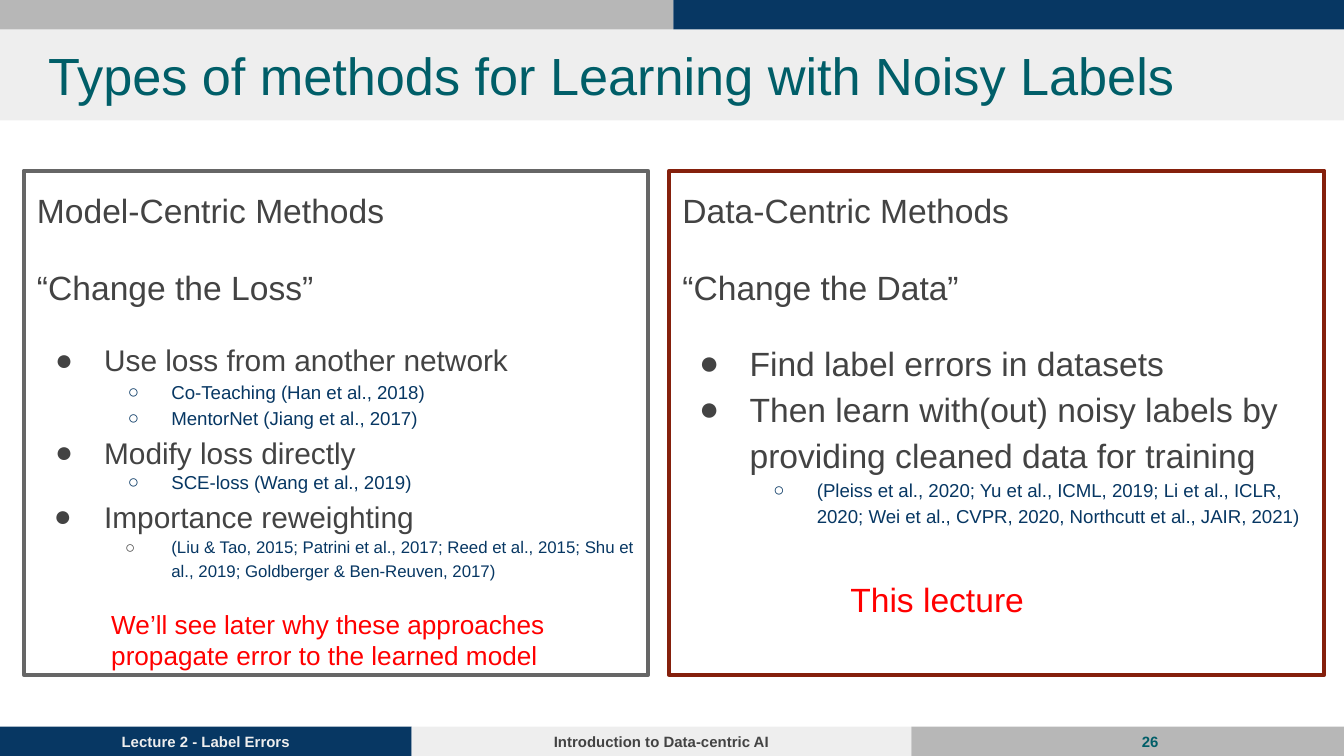
from lxml import etree
from pptx import Presentation, util as u
from pptx.dml import color
from pptx.enum import shapes, text
from pptx.oxml import ns

PX = 9525  # EMU in one px, 96 px to the inch
INSET = u.Inches(0.1)
COLORS = {
    "navy": "073763", "teal": "005E68", "pale": "EEEEEE", "silver": "B7B7B7",
    "ink": "434343", "gray": "666666", "maroon": "85200C", "red": "FF0000",
}
HEAD = {"size": 18, "color": "ink"}
HEAD_NEXT = {**HEAD, "before": 16}
TOPIC = {"size": 16, "color": "ink", "bullet": "●", "left": 48, "hang": 35}
WIDE_TOPIC = {**TOPIC, "hang": 36}
BIG_TOPIC = {**WIDE_TOPIC, "size": 18}
CITE = {"size": 10, "color": "navy", "bullet": "○", "left": 96, "hang": 31, "level": 1}
SMALL_CITE = {**CITE, "size": 9, "hang": 33, "bullet_color": "ink"}

MODEL_CENTRIC = [
    ("Model-Centric Methods", HEAD),
    ("“Change the Loss”", HEAD_NEXT),
    ("Use loss from another network", {**TOPIC, "before": 16}),
    ("Co-Teaching (Han et al., 2018)", CITE),
    ("MentorNet (Jiang et al., 2017)", CITE),
    ("Modify loss directly", TOPIC),
    ("SCE-loss (Wang et al., 2019)", {**CITE, "spacing": 1.0}),
    ("Importance reweighting", WIDE_TOPIC),
    ("(Liu & Tao, 2015; Patrini et al., 2017; Reed et al., 2015; Shu et al., 2019; "
     "Goldberger & Ben-Reuven, 2017)", SMALL_CITE),
]
DATA_CENTRIC = [
    ("Data-Centric Methods", HEAD),
    ("“Change the Data”", HEAD_NEXT),
    ("Find label errors in datasets", {**BIG_TOPIC, "before": 16}),
    ("Then learn with(out) noisy labels by providing cleaned data for training", BIG_TOPIC),
    ("(Pleiss et al., 2020; Yu et al., ICML, 2019; Li et al., ICLR, 2020; "
     "Wei et al., CVPR, 2020, Northcutt et al., JAIR, 2021)", CITE),
]


def rgb(name):
    return color.RGBColor.from_string(COLORS[name])


def add_bullet(para, look):
    """Give the paragraph a coloured bullet with a hanging indent."""
    props = para._p.get_or_add_pPr()
    props.set("marL", str(look["left"] * PX))
    props.set("indent", str(-look["hang"] * PX))
    tint = etree.SubElement(props, ns.qn("a:buClr"))
    shade = look.get("bullet_color", look["color"])
    etree.SubElement(tint, ns.qn("a:srgbClr"), val=COLORS[shade])
    etree.SubElement(props, ns.qn("a:buFont"), typeface="Arial")
    etree.SubElement(props, ns.qn("a:buChar"), char=look["bullet"])


def write(shape, lines, anchor="TOP", align="LEFT", spacing=1.0):
    """Fill a shape with (wording, look) paragraphs."""
    frame = shape.text_frame
    frame_format = {"word_wrap": True, "vertical_anchor": text.MSO_ANCHOR[anchor]}
    for side in ("left", "top", "right", "bottom"):
        frame_format[f"margin_{side}"] = INSET
    for key, value in frame_format.items():
        setattr(frame, key, value)
    for index, (wording, look) in enumerate(lines):
        para = frame.add_paragraph() if index else frame.paragraphs[0]
        if "bullet" in look:
            add_bullet(para, look)
        para_format = {
            "alignment": text.PP_ALIGN[align],
            "line_spacing": look.get("spacing", spacing),
            "space_before": u.Pt(look.get("before", 0)),
            "level": look.get("level", 0),
        }
        for key, value in para_format.items():
            setattr(para, key, value)
        span = para.add_run()
        span.text = wording
        span_format = {"name": "Arial", "size": u.Pt(look["size"]),
                       "bold": look.get("bold", False)}
        for key, value in span_format.items():
            setattr(span.font, key, value)
        span.font.color.rgb = rgb(look["color"])


def add_rect(page, box, fill=None, line=None):
    rect = page.shapes.add_shape(shapes.MSO_SHAPE.RECTANGLE, *(n * PX for n in box))
    rect.shadow.inherit = False
    if fill:
        rect.fill.solid()
        rect.fill.fore_color.rgb = rgb(fill)
    else:
        rect.fill.background()
    if line:
        rect.line.color.rgb = rgb(line)
        rect.line.width = u.Pt(2.25)
        etree.SubElement(rect.line._ln, ns.qn("a:round"))
    else:
        rect.line.fill.background()
    return rect


def add_label(page, box, lines, **layout):
    label = page.shapes.add_textbox(*(n * PX for n in box))
    write(label, lines, **layout)


def add_header(page, box, title):
    left, top, width, height = box
    strip, split = 21, 481
    add_rect(page, (left, top + strip, width, height - strip), "pale")
    add_rect(page, (left, top, split, strip), "silver")
    add_rect(page, (left + split, top, width - split, strip), "navy")
    add_label(page, (left + 25, top + strip, 895, height - strip),
              [(title, {"size": 28, "color": "teal"})])


def add_footer(page, box, lecture, course, number):
    left, top, width, height = box
    small = {"size": 8, "bold": True}
    first, second = 294, 651
    bands = [
        (0, first, "navy", lecture, "pale"),
        (first, second, "pale", course, "ink"),
        (second, width, "silver", None, None),
    ]
    for start, end, fill, wording, shade in bands:
        band = add_rect(page, (left + start, top, end - start, height), fill)
        if wording:
            write(band, [(wording, {**small, "color": shade})], "MIDDLE", "CENTER")
    add_label(page, (left + 764, top - 10, 73, 41),
              [(number, {**small, "color": "teal"})], anchor="MIDDLE", align="RIGHT")


def add_panel(page, box, line, lines, note_box, note, **note_layout):
    """Draw a framed list with a red note; note_box is relative to the panel."""
    write(add_rect(page, box, line=line), lines, spacing=1.15)
    left, top, width, height = note_box
    add_label(page, (box[0] + left, box[1] + top, width, height), note, **note_layout)


def main():
    deck = Presentation()
    deck.slide_width, deck.slide_height = 960 * PX, 540 * PX
    page = deck.slides.add_slide(deck.slide_layouts[6])
    add_header(page, (0, 0, 960, 86), "Types of methods for Learning with Noisy Labels")
    add_footer(page, (0, 519, 960, 21), "Lecture 2 - Label Errors",
               "Introduction to Data-centric AI", "26")
    warning = {"size": 14, "color": "red"}
    add_panel(page, (17, 122, 446, 360), "gray", MODEL_CENTRIC, (53, 311, 381, 48),
              [("We’ll see later why these approaches", warning),
               ("propagate error to the learned model", warning)], anchor="MIDDLE")
    add_panel(page, (478, 122, 468, 360), "maroon", DATA_CENTRIC, (120, 278, 214, 48),
              [("This lecture", {"size": 18, "color": "red"})], spacing=1.15)
    deck.save("out.pptx")


if __name__ == "__main__":
    main()
